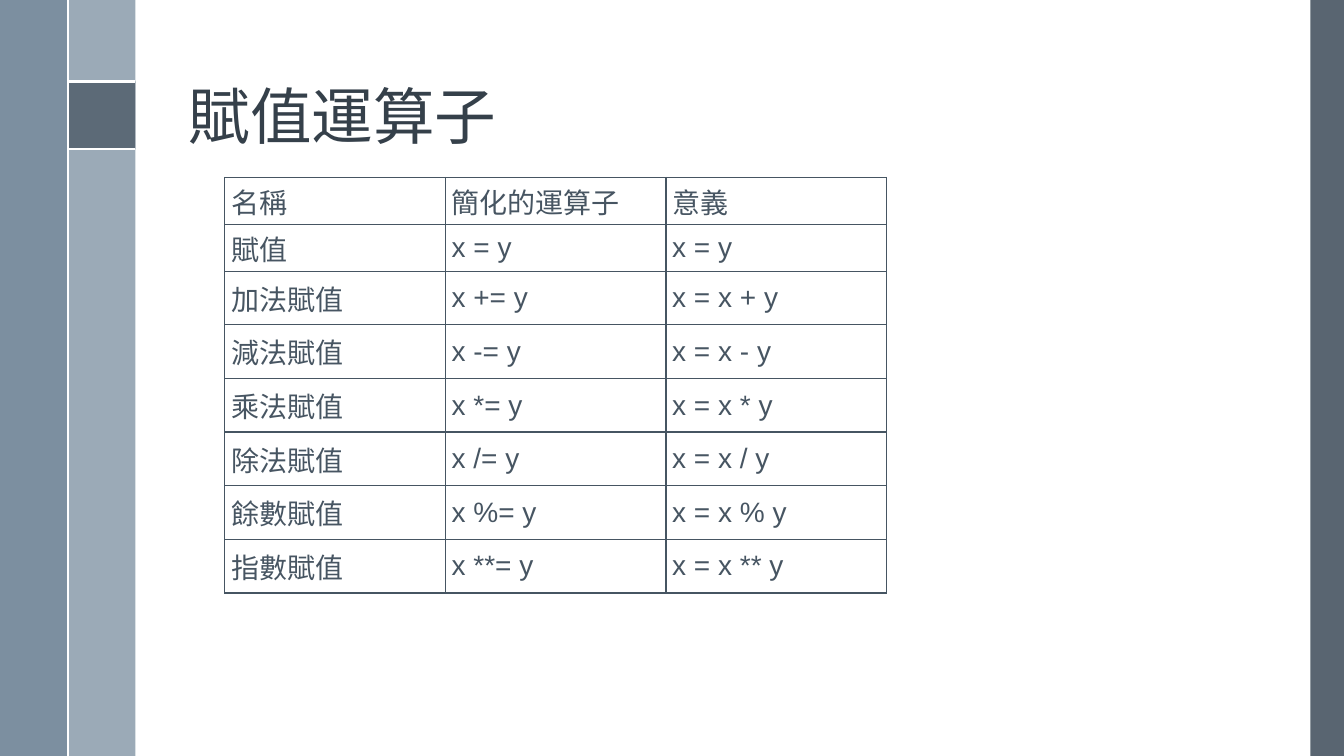
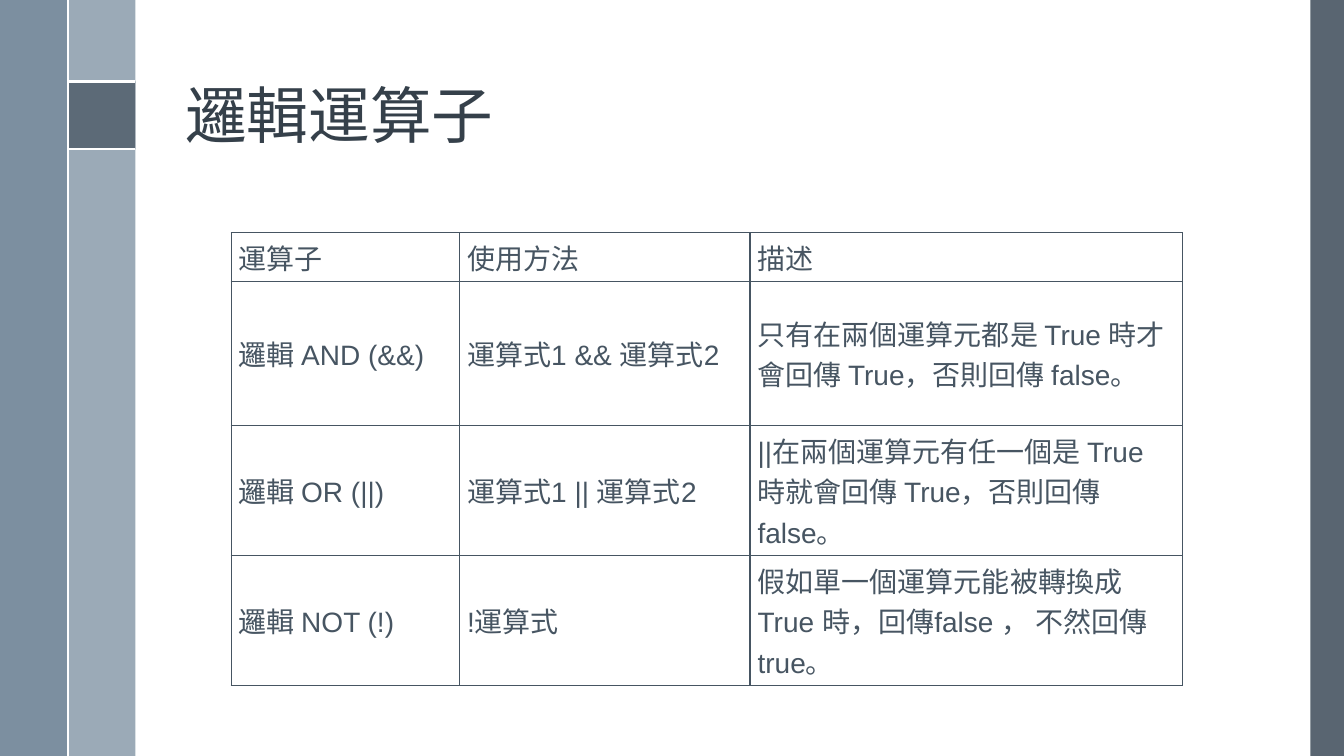
"""Build two slides of operator tables with python-pptx."""
import lxml.etree
import pptx
import pptx.dml.color
import pptx.enum.shapes
import pptx.enum.text
import pptx.oxml.ns
import pptx.util

Pt = pptx.util.Pt
RGBColor = pptx.dml.color.RGBColor
qn = pptx.oxml.ns.qn

WHITE = RGBColor(0xFF, 0xFF, 0xFF)
SLATE = RGBColor(0x47, 0x55, 0x62)
STEEL = RGBColor(0x6A, 0x80, 0x93)
MIST = RGBColor(0x9B, 0xAA, 0xB7)
INK = RGBColor(0x35, 0x40, 0x4A)
BORDER = RGBColor(0x46, 0x55, 0x62)

CJK_FONT = "Noto Sans CJK TC"
LATIN_FONT = "Arial"
WIDTH, HEIGHT = 960, 540
BAND = 48
STRIPE_X = 48.8
MARK_Y = 58.2

ASSIGNMENT = [
    ("名稱", "簡化的運算子", "意義"),
    ("賦值", "x = y", "x = y"),
    ("加法賦值", "x += y", "x = x + y"),
    ("減法賦值", "x -= y", "x = x - y"),
    ("乘法賦值", "x *= y", "x = x * y"),
    ("除法賦值", "x /= y", "x = x / y"),
    ("餘數賦值", "x %= y", "x = x % y"),
    ("指數賦值", "x **= y", "x = x ** y"),
]
LOGIC = [
    ("運算子", "使用方法", "描述"),
    ("邏輯 AND (&&)", "運算式1 && 運算式2",
     "只有在兩個運算元都是 True 時才會回傳 True，否則回傳 false。"),
    ("邏輯 OR (||)", "運算式1 || 運算式2",
     "||在兩個運算元有任一個是 True 時就會回傳 True，否則回傳 false。"),
    ("邏輯 NOT (!)", "!運算式",
     "假如單一個運算元能被轉換成 True 時，回傳false ， 不然回傳 true。"),
]


class Deck:
    """Hold the shared style and the current slide."""

    def __init__(self):
        self.prs = pptx.Presentation()
        self.prs.slide_width, self.prs.slide_height = Pt(WIDTH), Pt(HEIGHT)
        self.s = None

    def slide(self, title, left, top):
        self.s = self.prs.slides.add_slide(self.prs.slide_layouts[5])
        self.band(WIDTH - BAND / 2, 0, BAND / 2, HEIGHT, SLATE, 90)
        self.band(STRIPE_X, 0, BAND, HEIGHT, MIST)
        self.band(0, 0, BAND, HEIGHT, STEEL, 88)
        self.band(STRIPE_X, MARK_Y, BAND, BAND, SLATE, 75)
        for y in (MARK_Y, MARK_Y + BAND):
            self.rule(STRIPE_X, y, STRIPE_X + BAND, y)
        self.rule(STRIPE_X, 0, STRIPE_X, HEIGHT)
        self.title(title, left, top)

    def band(self, x, y, w, h, color, opacity=100):
        sp = self.s.shapes.add_shape(
            pptx.enum.shapes.MSO_SHAPE.RECTANGLE, Pt(x), Pt(y), Pt(w), Pt(h))
        sp.shadow.inherit = False
        sp.line.fill.background()
        sp.fill.solid()
        sp.fill.fore_color.rgb = color
        if opacity < 100:
            clr = sp.element.spPr.find(qn("a:solidFill"))[0]
            lxml.etree.SubElement(clr, qn("a:alpha"), val=str(opacity * 1000))

    def rule(self, x1, y1, x2, y2):
        line = self.s.shapes.add_connector(
            pptx.enum.shapes.MSO_CONNECTOR.STRAIGHT, Pt(x1), Pt(y1), Pt(x2), Pt(y2))
        line.line.color.rgb = WHITE
        line.line.width = Pt(1.5)
        lxml.etree.SubElement(line.element.spPr, qn("a:effectLst"))

    def title(self, text, left, top):
        sp = self.s.shapes.title
        sp.left, sp.top, sp.width, sp.height = Pt(left), Pt(top), Pt(770), Pt(98)
        tf = sp.text_frame
        tf.text = text
        tf.auto_size = pptx.enum.text.MSO_AUTO_SIZE.NONE
        tf.vertical_anchor = pptx.enum.text.MSO_ANCHOR.BOTTOM
        p = tf.paragraphs[0]
        p.alignment = pptx.enum.text.PP_ALIGN.LEFT
        p.line_spacing = 0.9
        self.font(p.runs[0], 44, CJK_FONT, INK)

    def font(self, r, size, name, color):
        r.font.size = Pt(size)
        r.font.name = name
        r.font.color.rgb = color
        ea = lxml.etree.Element(qn("a:ea"), typeface=CJK_FONT)
        r.font.element.find(qn("a:latin")).addnext(ea) if hasattr(
            r.font, "element") else r._r.rPr.find(qn("a:latin")).addnext(ea)

    def table(self, rows, left, top, widths, heights, inset):
        frame = self.s.shapes.add_table(
            len(rows), len(widths), Pt(left), Pt(top), Pt(sum(widths)), Pt(sum(heights)))
        table = frame.table
        table.first_row = table.horz_banding = False
        for column, width in zip(table.columns, widths):
            column.width = Pt(width)
        for row, height, texts in zip(table.rows, heights, rows):
            row.height = Pt(height)
            for cell, text in zip(row.cells, texts):
                self.cell(cell, text, inset)

    def cell(self, cell, text, inset):
        cell.margin_left = cell.margin_right = Pt(inset)
        cell.margin_top = cell.margin_bottom = Pt(inset / 2)
        cell.vertical_anchor = pptx.enum.text.MSO_ANCHOR.MIDDLE
        cell.text_frame.text = text
        self.font(cell.text_frame.paragraphs[0].runs[0], 20, LATIN_FONT, SLATE)
        self.borders(cell)
        cell.fill.solid()
        cell.fill.fore_color.rgb = WHITE

    def borders(self, cell):
        for side in ("a:lnL", "a:lnR", "a:lnT", "a:lnB"):
            ln = lxml.etree.SubElement(
                cell._tc.get_or_add_tcPr(), qn(side), w=str(Pt(1)))
            fill = lxml.etree.SubElement(ln, qn("a:solidFill"))
            lxml.etree.SubElement(fill, qn("a:srgbClr"), val=str(BORDER))


def main():
    deck = Deck()
    deck.slide("賦值運算子", 127.5, 14.5)
    deck.table(ASSIGNMENT, 160.6, 126.8, [157.6] * 3, [33.5] * 2 + [38.3] * 6, 4.4)
    deck.slide("邏輯運算子", 125.2, 13.8)
    deck.table(LOGIC, 165.2, 166.3, [163, 207.6, 309], [34.5, 103, 93, 93], 5.4)
    deck.prs.save("out.pptx")


if __name__ == "__main__":
    main()
